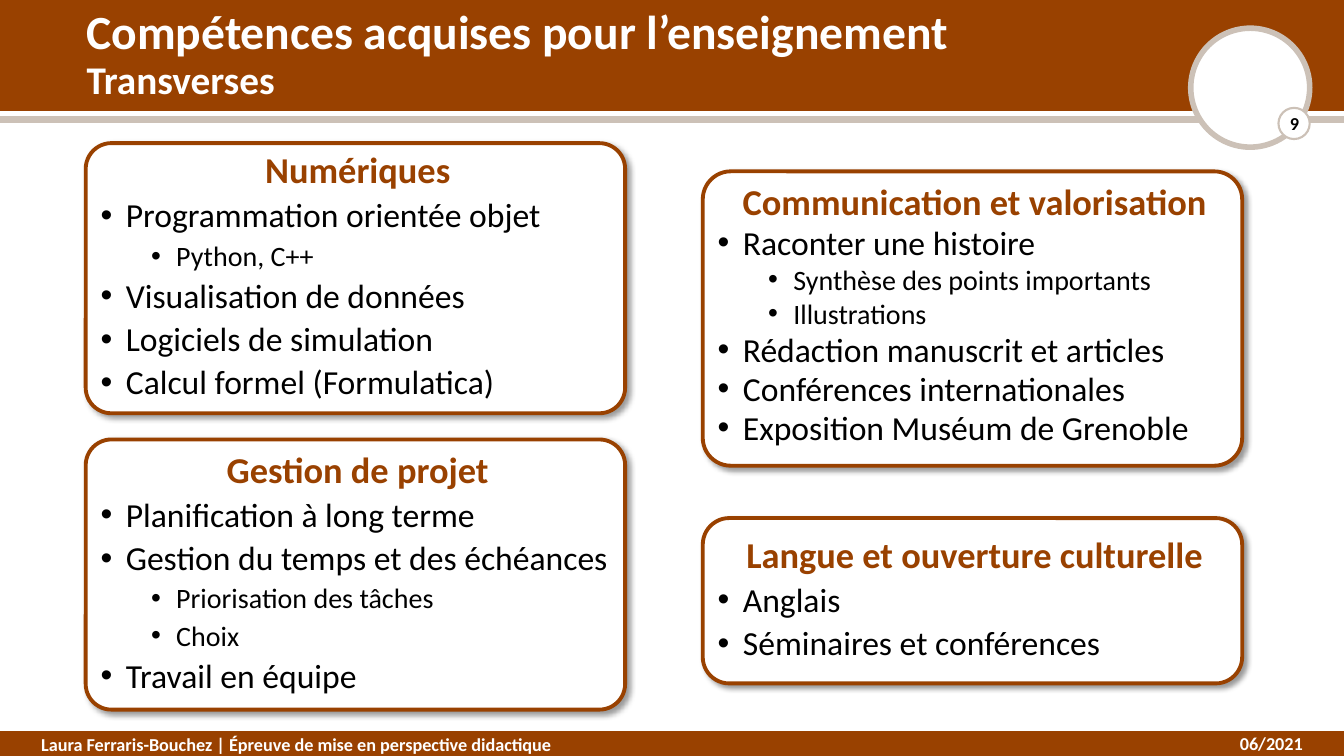
from lxml import etree
from pptx import Presentation
from pptx.dml.color import RGBColor
from pptx.enum import shapes, text
from pptx.oxml import ns
from pptx.util import Inches, Pt

RUST = RGBColor(0x99, 0x41, 0x00)
SAND = RGBColor(0xCC, 0xC1, 0xB7)
WHITE = RGBColor(0xFF, 0xFF, 0xFF)
BLACK = RGBColor(0x00, 0x00, 0x00)
FONT = "Calibri"
PANEL_WIDTH = 5.35
LEFT_COLUMN, RIGHT_COLUMN = 0.85, 6.97
LEVEL_STYLES = {1: (0.25, 24), 2: (0.75, 20)}

PANELS = [
    (RIGHT_COLUMN, 1.7, 2.92, 0.095, 0.8, "Communication et valorisation", [
        (1, "Raconter une histoire"),
        (2, "Synthèse des points importants"),
        (2, "Illustrations"),
        (1, "Rédaction manuscrit et articles"),
        (1, "Conférences internationales"),
        (1, "Exposition Muséum de Grenoble"),
    ]),
    (RIGHT_COLUMN, 5.14, 1.64, 0.16, 0.9, "Langue et ouverture culturelle", [
        (1, "Anglais"),
        (1, "Séminaires et conférences"),
    ]),
    (LEFT_COLUMN, 4.36, 2.68, 0.095, 0.9, "Gestion de projet", [
        (1, "Planification à long terme"),
        (1, "Gestion du temps et des échéances"),
        (2, "Priorisation des tâches"),
        (2, "Choix"),
        (1, "Travail en équipe"),
    ]),
    (LEFT_COLUMN, 1.42, 2.68, 0.095, 0.9, "Numériques", [
        (1, "Programmation orientée objet"),
        (2, "Python, C++"),
        (1, "Visualisation de données"),
        (1, "Logiciels de simulation"),
        (1, "Calcul formel (Formulatica)"),
    ]),
]


def add_filled_shape(slide, kind, box, fill, line=None, line_width=1):
    shape = slide.shapes.add_shape(kind, *map(Inches, box))
    shape.shadow.inherit = False
    shape.fill.solid()
    shape.fill.fore_color.rgb = fill
    if line is None:
        shape.line.fill.background()
    else:
        shape.line.color.rgb = line
        shape.line.width = Pt(line_width)
    return shape


def add_drop_shadow(shape):
    effects = shape.element.spPr.find(ns.qn("a:effectLst"))
    shadow = etree.SubElement(
        effects, ns.qn("a:outerShdw"), blurRad=str(Pt(4)), dist=str(Pt(3)),
        dir="2700000", algn="tl", rotWithShape="0")
    color = etree.SubElement(shadow, ns.qn("a:srgbClr"), val=str(BLACK))
    etree.SubElement(color, ns.qn("a:alpha"), val="40000")


def add_text_frame(slide, box, anchor=text.MSO_ANCHOR.MIDDLE):
    frame = slide.shapes.add_textbox(*map(Inches, box)).text_frame
    frame.word_wrap = True
    frame.vertical_anchor = anchor
    return frame


def write_paragraph(paragraph, content, size, color, bold=True,
                    align=text.PP_ALIGN.LEFT, spacing=1.0, before=0):
    paragraph.text = content
    paragraph.alignment = align
    paragraph.line_spacing = spacing
    paragraph.space_before = Pt(before)
    font = paragraph.runs[0].font
    font.name = FONT
    font.size = Pt(size)
    font.bold = bold
    font.color.rgb = color


def add_label(slide, box, content, size, color=WHITE,
              anchor=text.MSO_ANCHOR.MIDDLE, **style):
    frame = add_text_frame(slide, box, anchor)
    write_paragraph(frame.paragraphs[0], content, size, color, **style)


def add_bullet(frame, level, content, spacing):
    indent, size = LEVEL_STYLES[level]
    paragraph = frame.add_paragraph()
    write_paragraph(paragraph, content, size, BLACK, bold=False,
                    spacing=spacing, before=5)
    paragraph.level = level - 1
    properties = paragraph._p.get_or_add_pPr()
    properties.set("marL", str(Inches(indent)))
    properties.set("indent", str(Inches(-0.25)))
    etree.SubElement(properties, ns.qn("a:buFont"), typeface="Arial")
    etree.SubElement(properties, ns.qn("a:buChar"), char="•")


def add_panel(slide, left, top, height, rounding, spacing, heading, bullets):
    panel = add_filled_shape(
        slide, shapes.MSO_SHAPE.ROUNDED_RECTANGLE,
        (left, top, PANEL_WIDTH, height), WHITE, RUST, 2.75)
    panel.adjustments[0] = rounding
    add_drop_shadow(panel)
    frame = add_text_frame(slide, (left + 0.05, top + 0.02, 5.3, height - 0.06))
    write_paragraph(frame.paragraphs[0], heading, 26, RUST,
                    align=text.PP_ALIGN.CENTER, spacing=spacing, before=10)
    for level, content in bullets:
        add_bullet(frame, level, content, spacing)


def add_bands_and_badge(slide):
    for top, height, color in ((1.16, 0.05, SAND), (0, 1.1, RUST), (7.26, 0.24, RUST)):
        add_filled_shape(slide, shapes.MSO_SHAPE.RECTANGLE,
                         (0, top, 13.33, height), color, color)
    for box, width in (((11.81, 0.28, 1.18, 1.18), 4), ((12.68, 1.07, 0.31, 0.31), 1.5)):
        add_filled_shape(slide, shapes.MSO_SHAPE.OVAL, box, WHITE, SAND, width)


def add_labels(slide):
    add_label(slide, (0.76, 0, 11.82, 0.67),
              "Compétences acquises pour l’enseignement", 34, spacing=0.9)
    add_label(slide, (0.76, 0.55, 11.82, 0.55), "Transverses", 28,
              anchor=text.MSO_ANCHOR.TOP, spacing=0.9, before=10)
    add_label(slide, (0.31, 7.23, 6.24, 0.24),
              "Laura Ferraris-Bouchez | Épreuve de mise en perspective didactique",
              13, anchor=text.MSO_ANCHOR.TOP)
    add_label(slide, (12.59, 1.05, 0.5, 0.34), "9", 13, BLACK,
              align=text.PP_ALIGN.CENTER)
    add_label(slide, (10.02, 7.26, 3, 0.22), "06/2021", 13,
              align=text.PP_ALIGN.RIGHT)


def main():
    presentation = Presentation()
    presentation.slide_width = Inches(13.33)
    presentation.slide_height = Inches(7.5)
    slide = presentation.slides.add_slide(presentation.slide_layouts[6])
    add_bands_and_badge(slide)
    add_labels(slide)
    for panel in PANELS:
        add_panel(slide, *panel)
    presentation.save("out.pptx")


if __name__ == "__main__":
    main()
